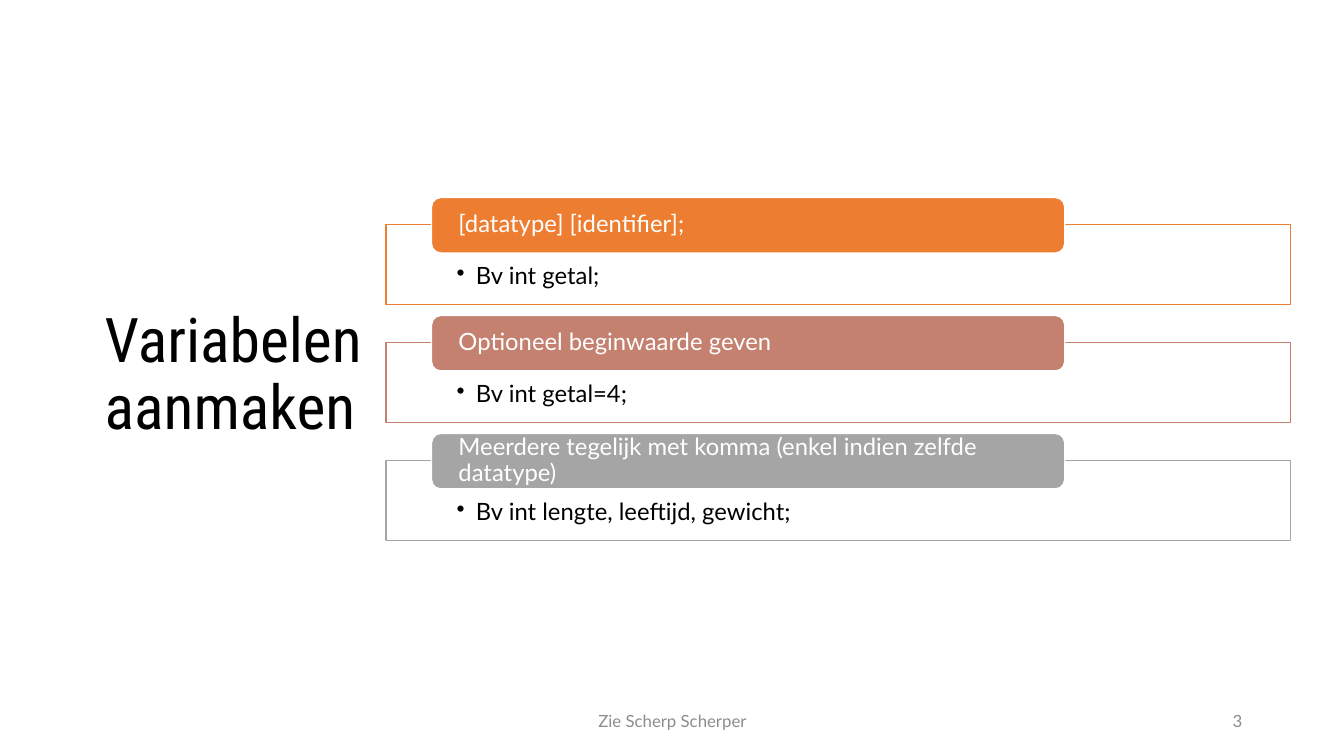
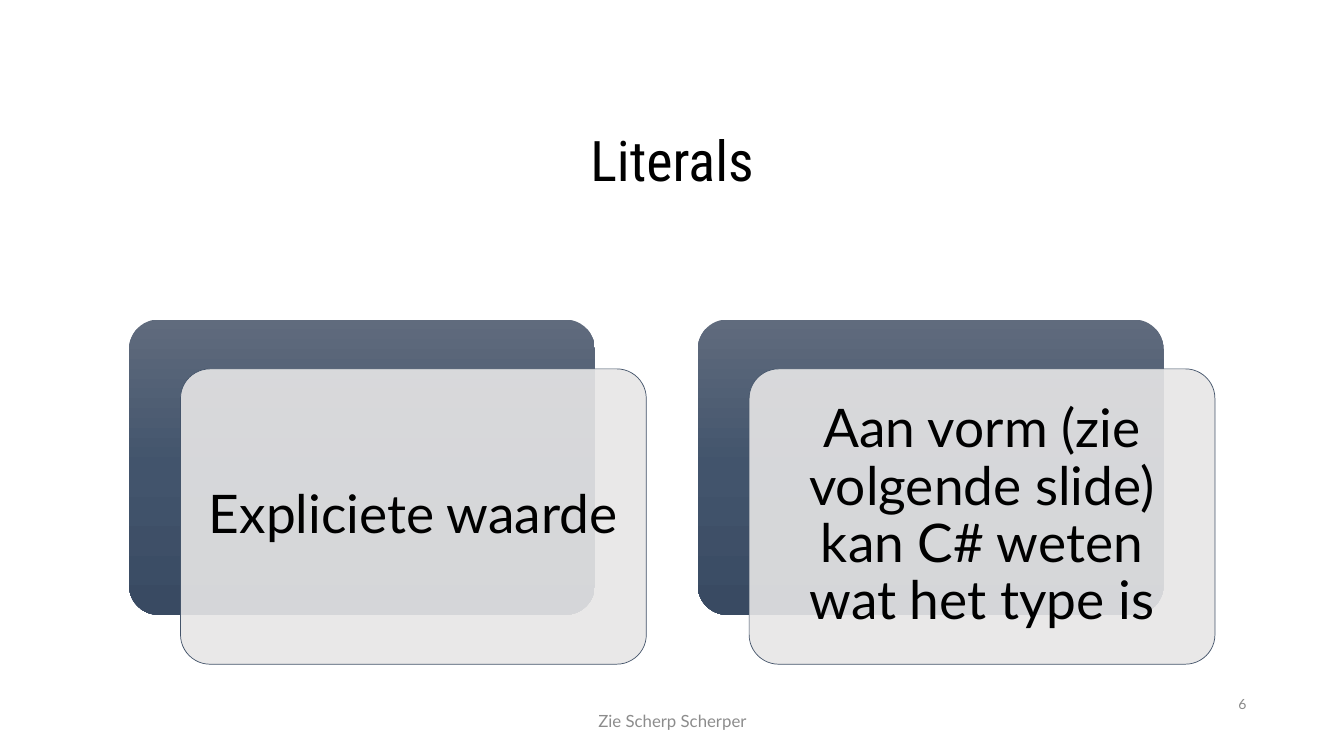
from copy import deepcopy

from lxml.etree import SubElement
from pptx import Presentation
from pptx.dml.color import RGBColor
from pptx.enum.shapes import MSO_SHAPE as Shape
from pptx.enum.text import MSO_ANCHOR as Anchor, PP_ALIGN as Align
from pptx.oxml.ns import qn
from pptx.util import Inches, Pt

COLORS = {
    "black": "000000", "white": "FFFFFF", "footer": "8C8C8C",
    "small_number": "898989", "orange": "ED7D31", "terracotta": "C48170",
    "gray": "A5A5A5", "card": "E7E6E6", "card_line": "44546A",
    "slate_top": "606B7D", "slate_middle": "42546C", "slate_bottom": "394A62",
}
TITLE_FONT = "Roboto Condensed"
BODY_FONT = "Lato"


def rgb(name):
    return RGBColor.from_string(COLORS[name])


class SlideBuilder:
    def __init__(self):
        self.deck = Presentation()
        self.deck.slide_width = Inches(13.33)
        self.deck.slide_height = Inches(7.5)
        self.page = None

    def start_page(self):
        self.page = self.deck.slides.add_slide(self.deck.slide_layouts[6])

    def set_text(self, box, text, size, color="black", font=BODY_FONT, align=Align.LEFT,
                 anchor=Anchor.MIDDLE, insets=(0.1, 0.05, 0.1, 0.05), spacing=0.9,
                 bullet=False):
        frame = box.text_frame
        frame.word_wrap = True
        frame.vertical_anchor = anchor
        (frame.margin_left, frame.margin_top,
         frame.margin_right, frame.margin_bottom) = map(Inches, insets)
        para = frame.paragraphs[0]
        para.text = text
        para.alignment = align
        para.line_spacing = spacing
        if bullet:
            properties = para._p.get_or_add_pPr()
            properties.set("marL", str(Inches(0.19)))
            properties.set("indent", str(-Inches(0.19)))
            SubElement(properties, qn("a:buChar")).set("char", "•")
        para.font.name = font
        para.font.size = Pt(size)
        para.font.color.rgb = rgb(color)

    def text(self, place, text, size, **style):
        box = self.page.shapes.add_textbox(*map(Inches, place))
        self.set_text(box, text, size, **style)

    def title(self, place, text, size, align=Align.LEFT):
        self.text(place, text, size, font=TITLE_FONT, align=align)

    def footer(self):
        self.text((4.42, 6.95, 4.5, 0.4), "Zie Scherp Scherper", 12,
                  color="footer", align=Align.CENTER, spacing=1.0)

    def number(self, place, text, size, color):
        self.text(place, text, size, color=color, align=Align.RIGHT, spacing=1.0)

    def shape(self, kind, place, fill=None, line=None, width=1, alpha=None, corner=None):
        shape = self.page.shapes.add_shape(kind, *map(Inches, place))
        shape.shadow.inherit = False
        if corner is not None:
            shape.adjustments[0] = corner
        if fill:
            shape.fill.solid()
            shape.fill.fore_color.rgb = rgb(fill)
        if alpha is not None:
            color = shape._element.spPr.find(qn("a:solidFill"))[0]
            SubElement(color, qn("a:alpha")).set("val", str(alpha * 1000))
        if line:
            shape.line.color.rgb = rgb(line)
            shape.line.width = Pt(width)
        else:
            shape.line.fill.background()
        return shape

    def gradient(self, shape, colors):
        shape.fill.gradient()
        shape.fill.gradient_angle = 270
        stops = shape._element.spPr.find(".//" + qn("a:gsLst"))
        for _ in colors[2:]:
            stops.insert(1, deepcopy(stops[0]))
        for index, (stop, color) in enumerate(zip(shape.fill.gradient_stops, colors)):
            stop.position = index / (len(colors) - 1)
            stop.color.rgb = rgb(color)

    def syntax_row(self, top, heading, example, color):
        panel = self.shape(Shape.RECTANGLE, (3.83, top, 8.97, 0.79), "white", color, alpha=90)
        self.set_text(panel, example, 17, anchor=Anchor.TOP,
                      insets=(0.7, 0.39, 0.7, 0.13), bullet=True)
        header = self.shape(Shape.ROUNDED_RECTANGLE, (4.28, top - 0.27, 6.28, 0.55),
                            color, "white")
        self.set_text(header, heading, 17, color="white", insets=(0.24, 0, 0.24, 0))

    def layered_card(self, left, text):
        top, width, height = 3.17, 4.62, 2.93
        back = self.shape(Shape.ROUNDED_RECTANGLE, (left, top, width, height), corner=0.1)
        self.gradient(back, ("slate_top", "slate_middle", "slate_bottom"))
        front = self.shape(Shape.ROUNDED_RECTANGLE, (left + 0.51, top + 0.49, width, height),
                           "card", "card_line", width=0.5, alpha=90, corner=0.1)
        self.set_text(front, text, 38, align=Align.CENTER, insets=(0.16,) * 4)


def build_variables(builder):
    builder.start_page()
    builder.title((0.94, 1.11, 3.74, 5.24), "Variabelen aanmaken", 44)
    builder.number((11.73, 6.95, 0.69, 0.4), "3", 12, "footer")
    rows = (
        ("[datatype] [identifier];", "Bv int getal;", "orange"),
        ("Optioneel beginwaarde geven", "Bv int getal=4;", "terracotta"),
        ("Meerdere tegelijk met komma (enkel indien zelfde datatype)",
         "Bv int lengte, leeftijd, gewicht;", "gray"),
    )
    for index, row in enumerate(rows):
        builder.syntax_row(2.23 + 1.17 * index, *row)
    builder.footer()


def build_literals(builder):
    builder.start_page()
    builder.title((1.29, 0.9, 10.75, 1.45), "Literals", 40, Align.CENTER)
    builder.number((11.84, 6.81, 0.62, 0.34), "6", 10, "small_number")
    cards = ("Expliciete waarde", "Aan vorm (zie volgende slide) kan C# weten wat het type is")
    for index, text in enumerate(cards):
        builder.layered_card(1.28 + 5.64 * index, text)
    builder.footer()


def main():
    builder = SlideBuilder()
    build_variables(builder)
    build_literals(builder)
    builder.deck.save("out.pptx")


if __name__ == "__main__":
    main()
